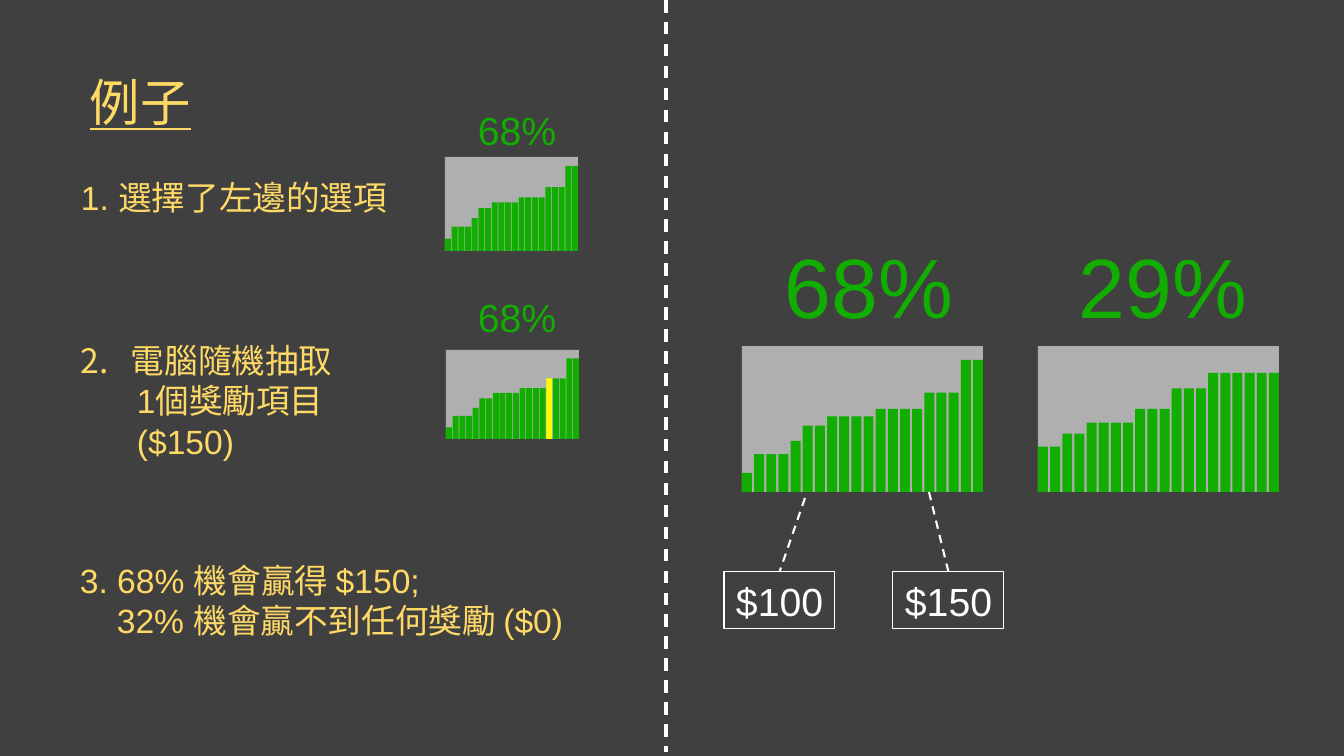
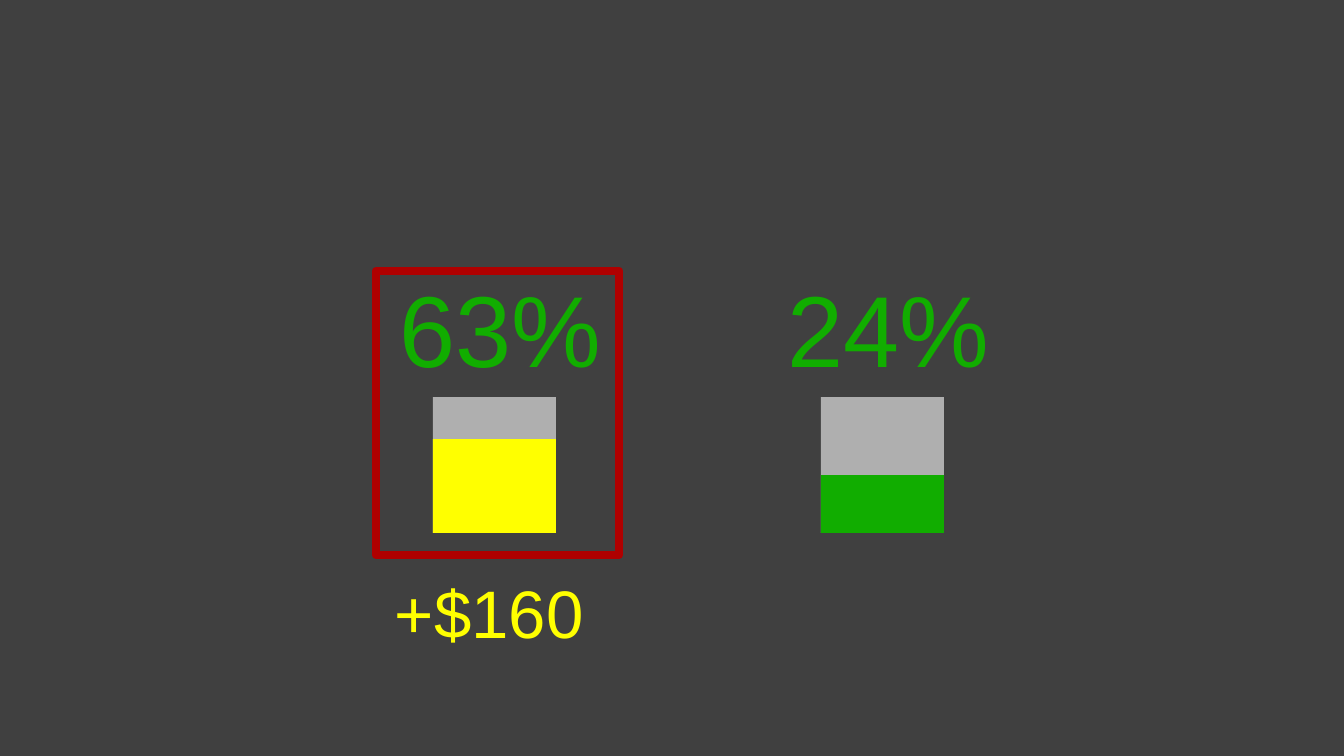
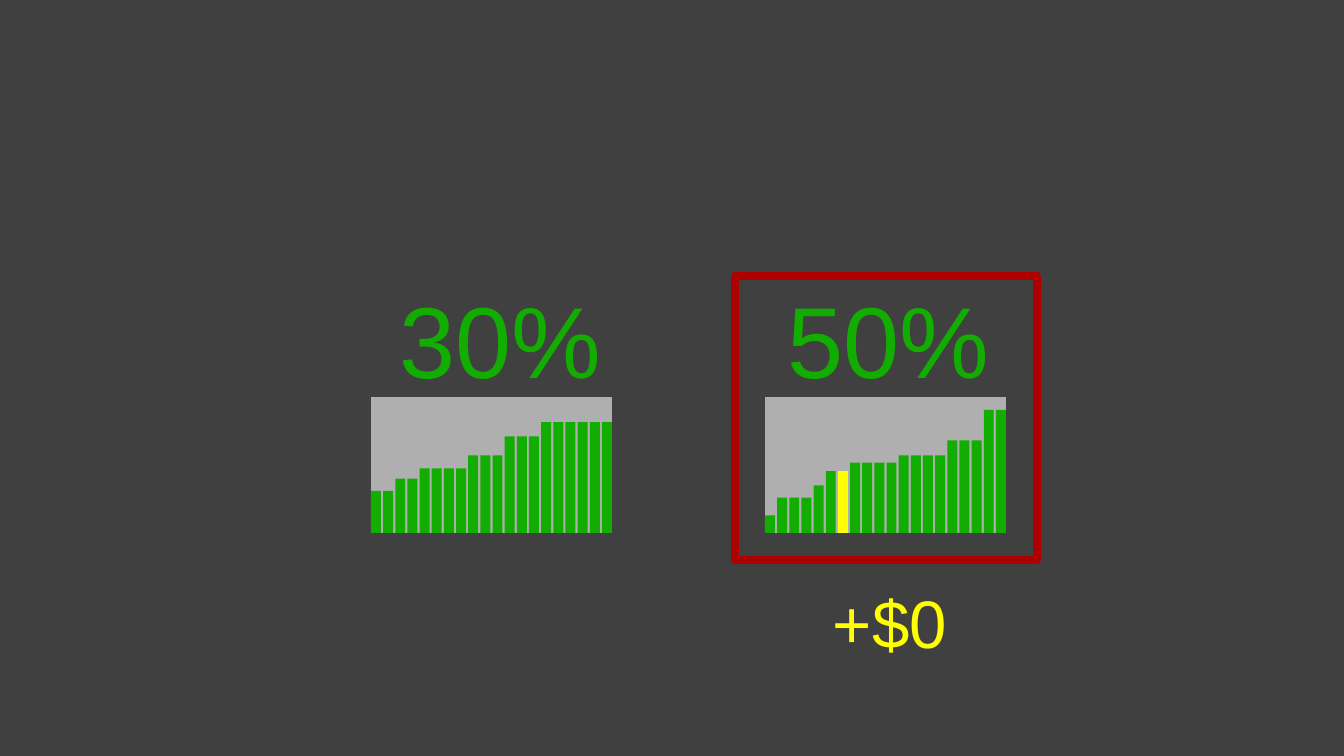
from dataclasses import dataclass
from typing import NamedTuple, Optional

from lxml.etree import SubElement
from pptx import Presentation
from pptx.dml.color import RGBColor
from pptx.enum.dml import MSO_LINE
from pptx.enum.shapes import MSO_CONNECTOR, MSO_SHAPE
from pptx.enum.text import MSO_ANCHOR, PP_ALIGN
from pptx.oxml.ns import qn
from pptx.util import Emu, Pt

EMU_PER_PX = 914400 / 100.8


@dataclass(frozen=True)
class Theme:
    font: str = "Arial"
    background: RGBColor = RGBColor(0x40, 0x40, 0x40)
    panel: RGBColor = RGBColor(0xAF, 0xAF, 0xAF)
    bar: RGBColor = RGBColor(0x11, 0xAD, 0x00)
    highlight: RGBColor = RGBColor(0xFF, 0xFF, 0x00)
    choice: RGBColor = RGBColor(0xAF, 0x00, 0x00)
    note: RGBColor = RGBColor(0xFF, 0xD9, 0x66)
    white: RGBColor = RGBColor(0xFF, 0xFF, 0xFF)
    title_size: int = 36
    note_size: int = 24
    label_size: int = 28
    payoff_size: int = 48
    example_size: int = 60
    trial_size: int = 72


THEME = Theme()


class Box(NamedTuple):
    left: int
    top: int
    width: int
    height: int


class Step(NamedTuple):
    """A run of equal bars; height is in percent of the panel."""
    count: int
    height: float


class Line(NamedTuple):
    text: str
    margin: int = 0
    indent: int = 0
    number: Optional[int] = None


@dataclass(frozen=True)
class Option:
    chance: str
    size: int
    caption: Box
    panel: Box
    steps: tuple[Step, ...]
    highlight: Optional[int] = None


@dataclass(frozen=True)
class Trial:
    options: tuple[Option, Option]
    choice: Box
    payoff: str
    payoff_box: Box


WIDE_RANGE = (Step(1, 13), Step(3, 26), Step(1, 35), Step(2, 45.5),
              Step(4, 51.8), Step(4, 57), Step(3, 68), Step(2, 90.5))
NARROW_RANGE = (Step(2, 31), Step(2, 40), Step(4, 47.5),
                Step(3, 57), Step(3, 71), Step(6, 81.5))


def px(length: float) -> Emu:
    return Emu(round(length * EMU_PER_PX))


def add_rectangle(shapes, left: float, top: float, width: float, height: float,
                  fill: Optional[RGBColor] = None, line: Optional[RGBColor] = None,
                  weight: float = 0.75):
    shape = shapes.add_shape(MSO_SHAPE.RECTANGLE, px(left), px(top), px(width), px(height))
    shape.shadow.inherit = False
    if fill is None:
        shape.fill.background()
    else:
        shape.fill.solid()
        shape.fill.fore_color.rgb = fill
    if line is None:
        shape.line.fill.background()
    else:
        shape.line.color.rgb = line
        shape.line.width = Pt(weight)
    return shape


def style_paragraph(paragraph, size: int, color: RGBColor, underline: bool = False) -> None:
    font = paragraph.font
    font.name, font.size = THEME.font, Pt(size)
    font.color.rgb = color
    if underline:
        font.underline = True


def add_text(slide, box: Box, lines: tuple[Line, ...], size: int, color: RGBColor,
             underline: bool = False):
    text_box = slide.shapes.add_textbox(*map(px, box))
    frame = text_box.text_frame
    frame.word_wrap = True
    for index, line in enumerate(lines):
        paragraph = frame.add_paragraph() if index else frame.paragraphs[0]
        paragraph.text = line.text
        if line.margin or line.indent:
            properties = paragraph._p.get_or_add_pPr()
            properties.set("marL", str(px(line.margin)))
            properties.set("indent", str(px(line.indent)))
            if line.number is not None:
                SubElement(properties, qn("a:buAutoNum"), type="arabicPeriod",
                           startAt=str(line.number))
        style_paragraph(paragraph, size, color, underline)
    return text_box


def add_dashed_line(slide, start: tuple[int, int], end: tuple[int, int], weight: float):
    connector = slide.shapes.add_connector(MSO_CONNECTOR.STRAIGHT, *map(px, start + end))
    connector.line.color.rgb = THEME.white
    connector.line.width = Pt(weight)
    connector.line.dash_style = MSO_LINE.DASH
    SubElement(connector._element.spPr, qn("a:effectLst"))
    return connector


def add_option(slide, option: Option) -> None:
    # Panel with bars spread evenly from edge to edge
    panel = option.panel
    group = slide.shapes.add_group_shape()
    add_rectangle(group.shapes, *panel, fill=THEME.panel)
    heights = [step.height for step in option.steps for _ in range(step.count)]
    gaps = len(heights) - 1
    bar_width = round(panel.width / 24) if gaps else panel.width
    pitch = (panel.width - bar_width) / max(gaps, 1)
    for index, percent in enumerate(heights):
        height = panel.height * percent / 100
        color = THEME.highlight if index == option.highlight else THEME.bar
        add_rectangle(group.shapes, panel.left + index * pitch,
                      panel.top + panel.height - height, bar_width, height, fill=color)

    # Chance of winning
    caption = add_text(slide, option.caption, (Line(option.chance),), option.size, THEME.bar)
    paragraph = caption.text_frame.paragraphs[0]
    paragraph.line_spacing = 0.9
    paragraph.space_before = Pt(10)


def add_amount(slide, text: str, box: Box, start: tuple[int, int]) -> None:
    label = add_rectangle(slide.shapes, *box, line=THEME.white)
    label.text_frame.vertical_anchor = MSO_ANCHOR.MIDDLE
    paragraph = label.text_frame.paragraphs[0]
    paragraph.text = text
    paragraph.alignment = PP_ALIGN.CENTER
    style_paragraph(paragraph, THEME.label_size, THEME.white)
    pointer = add_dashed_line(slide, start, (box.left + box.width // 2, box.top), 1.5)
    pointer.end_connect(label, 0)


def add_slide(presentation):
    slide = presentation.slides.add_slide(presentation.slide_layouts[6])
    slide.background.fill.solid()
    slide.background.fill.fore_color.rgb = THEME.background
    return slide


def build_example(presentation) -> None:
    slide = add_slide(presentation)

    # Explanation on the left
    add_text(slide, Box(80, 66, 255, 72), (Line("例子"),), THEME.title_size, THEME.note,
             underline=True)
    notes = (
        (Box(71, 172, 340, 50), (Line("1. 選擇了左邊的選項"),)),
        (Box(71, 335, 340, 132), (Line("電腦隨機抽取", 50, -50, 2),
                                  Line("1個獎勵項目", 56), Line("($150)", 56))),
        (Box(70, 555, 512, 92), (Line("3. 68% 機會贏得 $150;"),
                                 Line("32% 機會贏不到任何獎勵 ($0)", 0, 37))),
    )
    for box, lines in notes:
        add_text(slide, box, lines, THEME.note_size, THEME.note)

    # Small panels beside the notes, large panels on the right
    options = (
        Option("68%", THEME.label_size, Box(468, 107, 105, 58), Box(445, 157, 133, 94),
               WIDE_RANGE),
        Option("68%", THEME.label_size, Box(468, 294, 105, 58), Box(446, 350, 133, 89),
               WIDE_RANGE, 15),
        Option("68%", THEME.example_size, Box(775, 241, 188, 91), Box(742, 346, 241, 146),
               WIDE_RANGE),
        Option("29%", THEME.example_size, Box(1069, 241, 188, 91), Box(1038, 346, 241, 146),
               NARROW_RANGE),
    )
    for option in options:
        add_option(slide, option)

    # Divider and amounts
    add_dashed_line(slide, (666, 0), (666, 752), 2.25)
    add_amount(slide, "$100", Box(724, 572, 111, 57), (805, 498))
    add_amount(slide, "$150", Box(893, 572, 111, 57), (929, 492))


def build_trial(presentation, trial: Trial) -> None:
    slide = add_slide(presentation)
    add_rectangle(slide.shapes, *trial.choice, line=THEME.choice, weight=6)
    for option in trial.options:
        add_option(slide, option)
    add_text(slide, trial.payoff_box, (Line(trial.payoff),), THEME.payoff_size,
             THEME.highlight)


TRIALS = (
    Trial((Option("63%", THEME.trial_size, Box(390, 275, 229, 106),
                  Box(433, 397, 123, 136), (Step(1, 69),), 0),
           Option("24%", THEME.trial_size, Box(778, 275, 229, 106),
                  Box(821, 397, 123, 136), (Step(1, 42.5),))),
          Box(376, 271, 243, 284), "+$160", Box(385, 566, 212, 92)),
    Trial((Option("30%", THEME.trial_size, Box(390, 286, 229, 106),
                  Box(371, 397, 241, 136), NARROW_RANGE),
           Option("50%", THEME.trial_size, Box(778, 286, 229, 106),
                  Box(765, 397, 241, 136), WIDE_RANGE, 6)),
          Box(735, 276, 302, 284), "+$0", Box(823, 576, 155, 92)),
)


def main() -> None:
    presentation = Presentation()
    presentation.slide_width, presentation.slide_height = px(1344), px(756)
    build_example(presentation)
    for trial in TRIALS:
        build_trial(presentation, trial)
    presentation.save("out.pptx")


if __name__ == "__main__":
    main()
